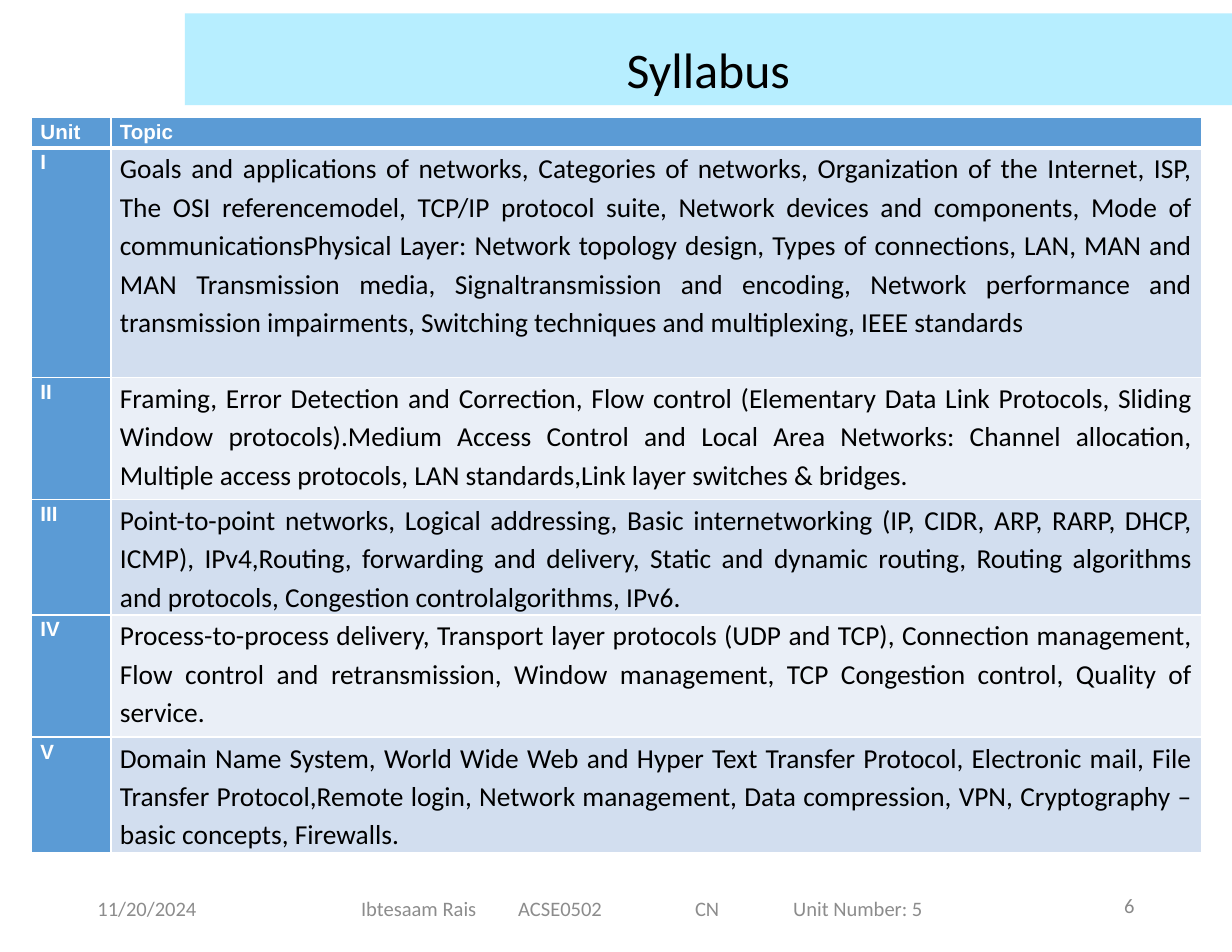
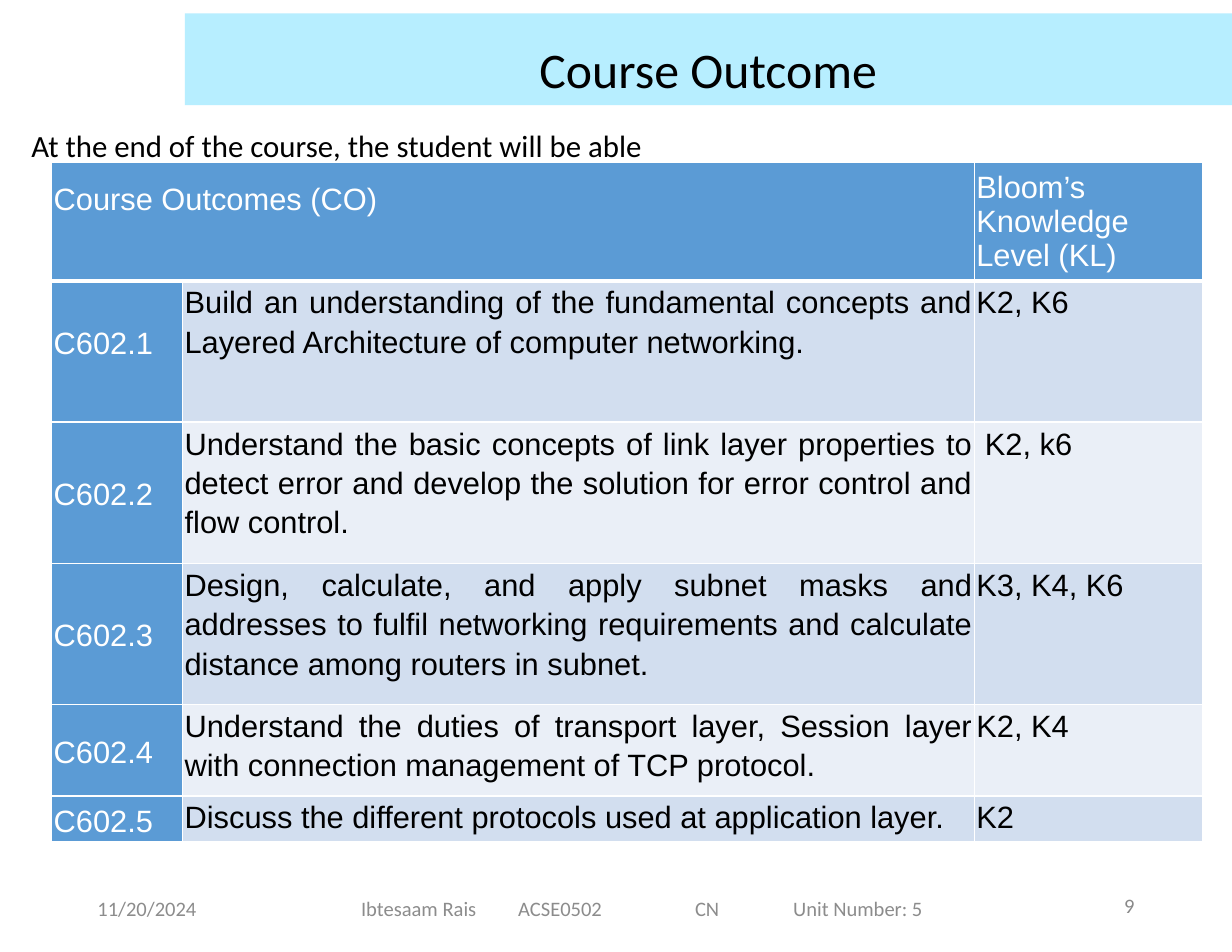
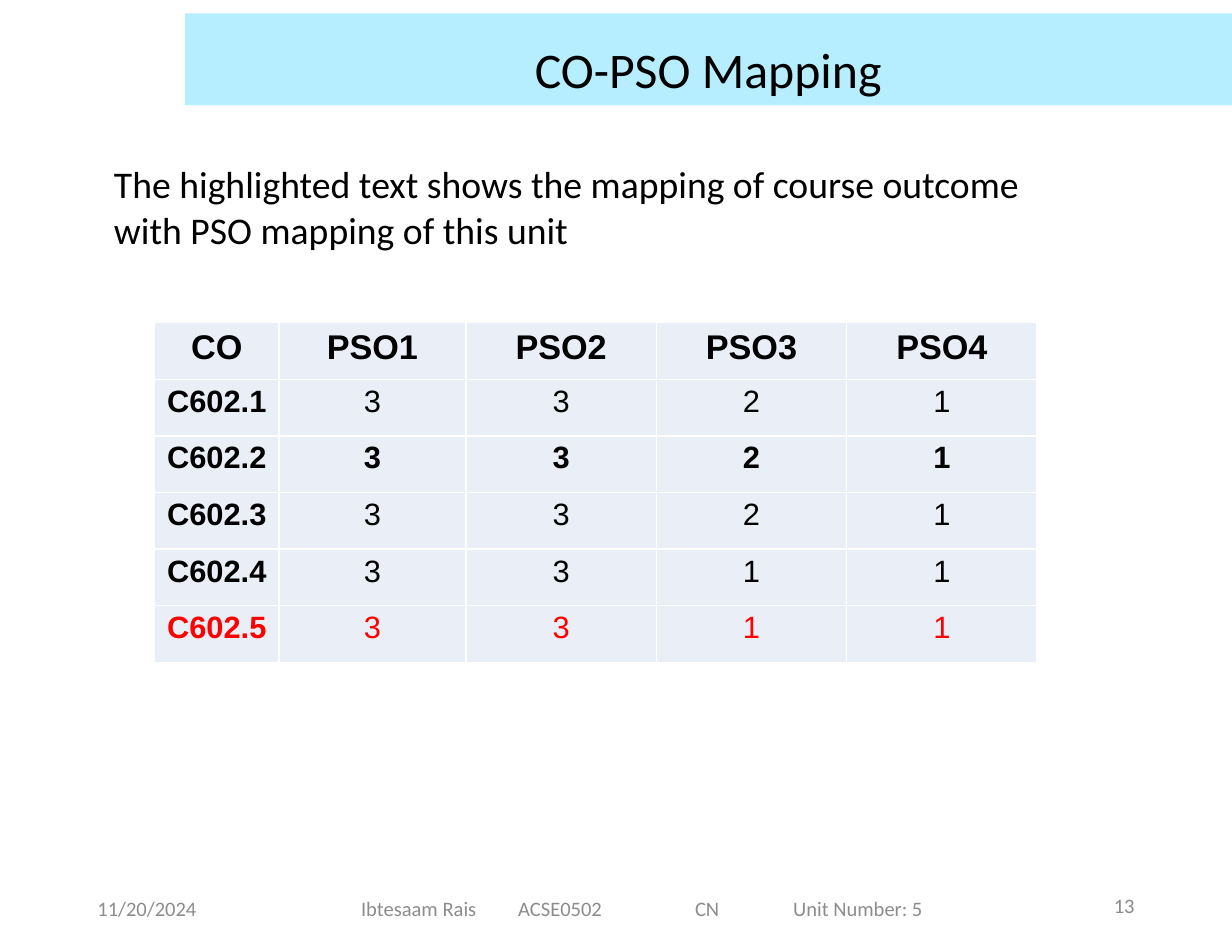
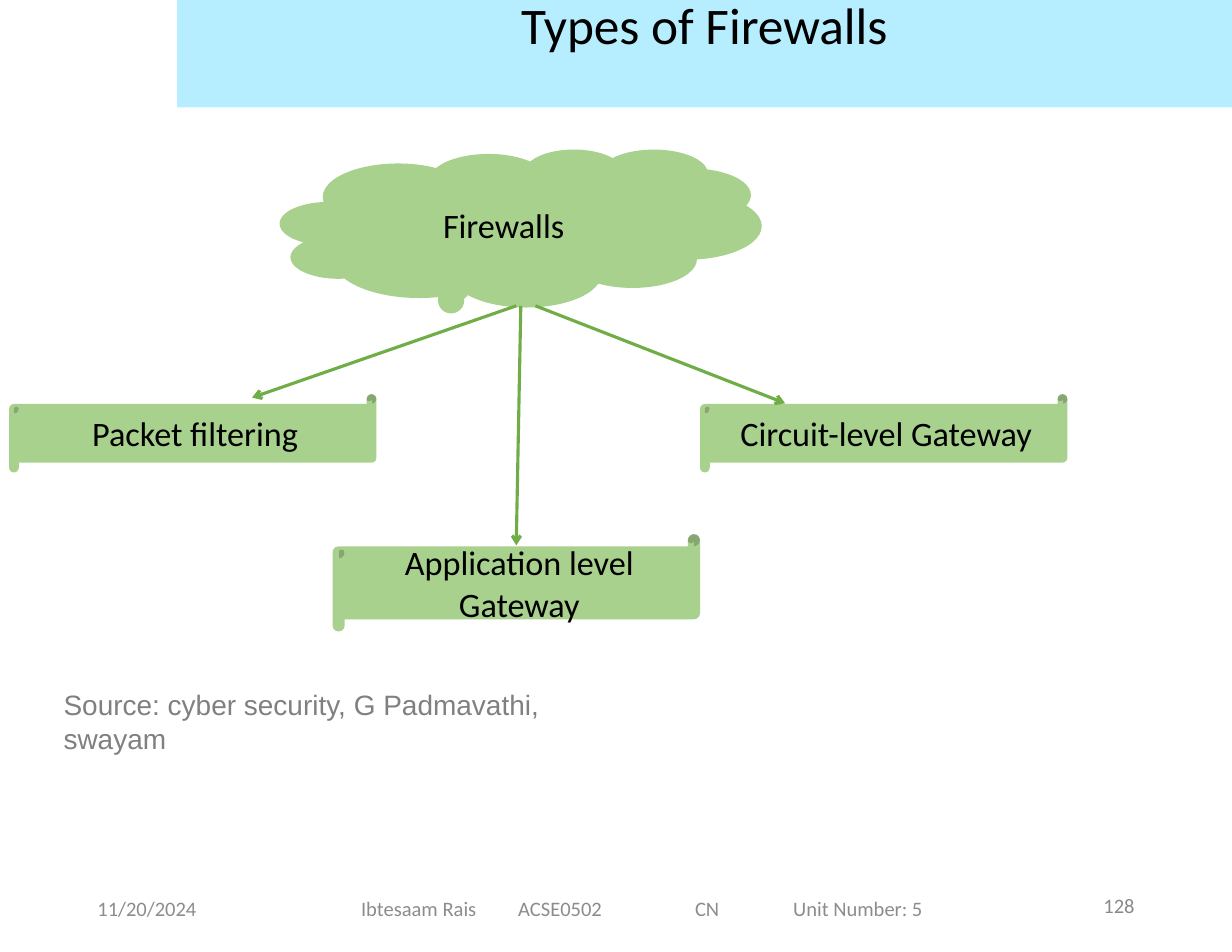
from lxml import etree
from pptx import Presentation
from pptx.dml.color import RGBColor
from pptx.enum.shapes import MSO_CONNECTOR, MSO_SHAPE
from pptx.enum.text import MSO_ANCHOR, MSO_AUTO_SIZE, PP_ALIGN
from pptx.oxml.ns import qn
from pptx.util import Pt

# Shared look
BAND, HEAD, DARK, PALE = "B7EEFF", "5B9BD5", "D2DEEF", "EAEFF7"
LEAF, ARROW = "A9D18E", "70AD47"
WHITE, BLACK, RED, GREY = "FFFFFF", "000000", "FF0000", "8C8C8C"
LEFT, MID, RIGHT, JUST = PP_ALIGN.LEFT, PP_ALIGN.CENTER, PP_ALIGN.RIGHT, PP_ALIGN.JUSTIFY
TOP, CORE, LOW = MSO_ANCHOR.TOP, MSO_ANCHOR.MIDDLE, MSO_ANCHOR.BOTTOM
PAD = (7.2, 3.6, 7.2, 3.6)
NOTE = (7.9, 4.3, 7.9, 4.3)
PLAIN = "{2D5ABB26-0587-4C30-8999-92F81FD0307C}"

# Content
DATE = "11/20/2024"
FOOT = ("Ibtesaam Rais", "ACSE0502", "CN", "Unit Number: 5")
STOPS = (101, 214.7, 277.8)

UNITS = [
    ("I", "Goals and applications of networks, Categories of networks, Organization of the "
          "Internet, ISP, The OSI referencemodel, TCP/IP protocol suite, Network devices and "
          "components, Mode of communicationsPhysical Layer: Network topology design, Types of "
          "connections, LAN, MAN and MAN Transmission media, Signaltransmission and encoding, "
          "Network performance and transmission impairments, Switching techniques and "
          "multiplexing, IEEE standards"),
    ("II", "Framing, Error Detection and Correction, Flow control (Elementary Data Link "
           "Protocols, Sliding Window protocols).Medium Access Control and Local Area Networks: "
           "Channel allocation, Multiple access protocols, LAN standards,Link layer switches & "
           "bridges."),
    ("III", "Point-to-point networks, Logical addressing, Basic internetworking (IP, CIDR, ARP, "
            "RARP, DHCP, ICMP), IPv4,Routing, forwarding and delivery, Static and dynamic "
            "routing, Routing algorithms and protocols, Congestion controlalgorithms, IPv6."),
    ("IV", "Process-to-process delivery, Transport layer protocols (UDP and TCP), Connection "
           "management, Flow control and retransmission, Window management, TCP Congestion "
           "control, Quality of service."),
    ("V", "Domain Name System, World Wide Web and Hyper Text Transfer Protocol, Electronic mail, "
          "File Transfer Protocol,Remote login, Network management, Data compression, VPN, "
          "Cryptography – basic concepts, Firewalls."),
]
GOALS = [
    ("C602.1", "Build an understanding of the fundamental concepts and Layered Architecture of "
               "computer networking.", "K2, K6"),
    ("C602.2", "Understand the basic concepts of link layer properties to detect error and "
               "develop the solution for error control and flow control.", " K2, k6"),
    ("C602.3", "Design, calculate, and apply subnet masks and addresses to fulfil networking "
               "requirements and calculate distance among routers in subnet.", "K3, K4, K6"),
    ("C602.4", "Understand the duties of transport layer, Session layer with connection "
               "management of TCP protocol.", "K2, K4"),
    ("C602.5", "Discuss the different protocols used at application layer.", "K2"),
]
SCORES = [
    ("CO", "PSO1", "PSO2", "PSO3", "PSO4"),
    ("C602.1", "3", "3", "2", "1"),
    ("C602.2", "3", "3", "2", "1"),
    ("C602.3", "3", "3", "2", "1"),
    ("C602.4", "3", "3", "1", "1"),
    ("C602.5", "3", "3", "1", "1"),
]
SCROLLS = [
    ("Packet filtering", (5.8, 253.4, 236.2, 50.4)),
    ("Application level Gateway", (213.8, 343.4, 236.2, 62.6)),
    ("Circuit-level Gateway", (450, 253.4, 236.2, 50.4)),
]
LINKS = [
    ((334.8, 196.6), (331.9, 350.6)),
    ((331.9, 196.6), (162, 255.6)),
    ((344.2, 196.6), (504.7, 259.2)),
]


# Helpers
def paint(fill, code):
    fill.solid()
    fill.fore_color.rgb = RGBColor.from_string(code)


def pad(part, sides):
    part.margin_left, part.margin_top, part.margin_right, part.margin_bottom = map(Pt, sides)


def style(para, size, code=BLACK, face="Calibri", bold=False, align=LEFT, line=None, after=None):
    para.alignment = align
    if line:
        para.line_spacing = line
    if after:
        para.space_after = Pt(after)
    font = para.font
    font.name, font.size, font.bold = face, Pt(size), bold
    font.color.rgb = RGBColor.from_string(code)


def write(frame, text, size, anchor=TOP, sides=PAD, wrap=True, **look):
    frame.word_wrap = wrap
    frame.auto_size = MSO_AUTO_SIZE.NONE
    frame.vertical_anchor = anchor
    pad(frame, sides)
    para = frame.paragraphs[0]
    para.text = text
    style(para, size, **look)
    return para


def label(slide, box, text, size, **look):
    return write(slide.shapes.add_textbox(*map(Pt, box)).text_frame, text, size, **look)


def solid(slide, kind, box, text):
    shape = slide.shapes.add_shape(kind, *map(Pt, box))
    shape.shadow.inherit = False
    paint(shape.fill, LEAF)
    shape.line.fill.background()
    write(shape.text_frame, text, 22, anchor=CORE, align=MID)
    return shape


def arrow(slide, start, end):
    link = slide.shapes.add_connector(MSO_CONNECTOR.STRAIGHT, *map(Pt, start + end))
    link.line.width = Pt(2)
    link.line.color.rgb = RGBColor.from_string(ARROW)
    etree.SubElement(link.line._get_or_add_ln(), qn("a:tailEnd"), type="arrow")
    etree.SubElement(link._element.spPr, qn("a:effectLst"))


def edge(cell, widths):
    props = cell._tc.get_or_add_tcPr()
    for side, width in zip("LRTB", widths):
        line = etree.SubElement(props, qn("a:ln" + side), w=str(Pt(width)))
        tint = etree.SubElement(line, qn("a:solidFill"))
        etree.SubElement(tint, qn("a:srgbClr"), val=WHITE)


def grid(slide, spot, cols, rows, ruled=True):
    size = sum(cols), sum(rows)
    table = slide.shapes.add_table(len(rows), len(cols), *map(Pt, spot + size)).table
    table._tbl.tblPr.find(qn("a:tableStyleId")).text = PLAIN
    table.first_row = table.horz_banding = False
    for col, width in zip(table.columns, cols):
        col.width = Pt(width)
    for r, height in enumerate(rows):
        table.rows[r].height = Pt(height)
        for cell in table.rows[r].cells:
            edge(cell, (1, 1, 3 if ruled and r == 1 else 1, 3 if ruled and r == 0 else 1))
    return table


def put(cell, text, size, fill, sides, anchor=TOP, **look):
    paint(cell.fill, fill)
    cell.vertical_anchor = anchor
    pad(cell, sides)
    para = cell.text_frame.paragraphs[0]
    para.text = text
    style(para, size, **look)


def start(deck, title, number, box=(118.8, 8.6, 673.2, 59), size=32, anchor=LOW, sides=PAD):
    slide = deck.slides.add_slide(deck.slide_layouts[5])
    head = slide.shapes.title
    head.left, head.top, head.width, head.height = map(Pt, box)
    paint(head.fill, BAND)
    write(head.text_frame, title, size, anchor=anchor, sides=sides, align=MID, line=0.9)
    # Footer: date, course line on tab stops, page number
    label(slide, (54.7, 567.4, 89.3, 32.4), DATE, 13.2, anchor=CORE, sides=NOTE, code=GREY)
    label(slide, (688.3, 565.9, 49, 32.4), str(number), 13.2, anchor=CORE, sides=NOTE,
          code="898989", align=RIGHT)
    frame = slide.shapes.add_textbox(*map(Pt, (194.4, 568.1, 435.6, 31.7))).text_frame
    tabs = etree.SubElement(frame.paragraphs[0]._p.get_or_add_pPr(), qn("a:tabLst"))
    for stop in STOPS:
        etree.SubElement(tabs, qn("a:tab"), pos=str(Pt(stop)), algn="l")
    write(frame, "\t".join(FOOT), 13.2, anchor=CORE, sides=(37.7, 4.3, 7.9, 4.3), code=GREY)
    return slide


# Slides
def topics(deck):
    slide = start(deck, "Syllabus", 6)
    table = grid(slide, (20.2, 75.6), (51.1, 701.3), (19.4, 147.6, 78.5, 74.2, 78.5, 74.2))
    sides = (5.8, 0, 5.8, 0)
    mark = dict(face="Arial", code=WHITE, bold=True, line=1.15)
    for c, text in enumerate(("Unit", "Topic")):
        put(table.cell(0, c), text, 13.2, HEAD, sides, **mark)
    for r, (unit, topic) in enumerate(UNITS, 1):
        put(table.cell(r, 0), unit, 13.2, HEAD, sides, align=JUST, **mark)
        put(table.cell(r, 1), topic, 17.6, DARK if r % 2 else PALE, sides, align=JUST, line=1.15)


def results(deck):
    slide = start(deck, "Course Outcome", 9)
    label(slide, (13, 77.8, 406.8, 31), "At the end of the course, the student will be able",
          19.8, wrap=False)
    table = grid(slide, (33.1, 104.4), (84.2, 509, 146.9), (76.3, 90.7, 90.7, 90.7, 59, 29.5))
    sides = (1.4, 0, 1.4, 0)
    mark = dict(face="Arial", code=WHITE)
    table.cell(0, 0).merge(table.cell(0, 1))
    put(table.cell(0, 0), "Course Outcomes (CO)", 19.8, HEAD, (1.4, 22.7, 1.4, 0),
        line=Pt(12.7), after=10, **mark)
    put(table.cell(0, 2), "Bloom’s Knowledge Level (KL)", 19.8, HEAD, sides, anchor=CORE, **mark)
    for r, (code, goal, level) in enumerate(GOALS, 1):
        put(table.cell(r, 0), code, 19.8, HEAD, sides, anchor=CORE,
            line=Pt(12.7) if r == 1 else 1.15, after=10, **mark)
        for c, text in enumerate((goal, level), 1):
            put(table.cell(r, c), text, 19.8, DARK if r % 2 else PALE, sides,
                face="Arial", align=JUST, line=1.15, after=10)


def mapping(deck):
    slide = start(deck, "CO-PSO Mapping", 13)
    label(slide, (66.2, 100.1, 640.1, 65.5), "The highlighted text shows the mapping of course "
          "outcome with PSO mapping of this unit", 24.2)
    table = grid(slide, (99.4, 207.4), (79.9, 120.2) + (122.4,) * 3, (36.4,) * len(SCORES),
                 ruled=False)
    for r, row in enumerate(SCORES):
        for c, text in enumerate(row):
            put(table.cell(r, c), text, 19.8 if r else 22, PALE, (5.8, 0, 5.8, 0), face="Arial",
                code=RED if r == 5 else BLACK, bold=c == 0 or r in (0, 2),
                align=MID, line=1.15, after=10)


def walls(deck):
    slide = start(deck, "Types of Firewalls", 128, (113.8, 0, 678.2, 69.1), 33, TOP,
                  (7.2, 0, 7.2, 0))
    cloud = solid(slide, MSO_SHAPE.CLOUD_CALLOUT, (180, 95.8, 309.6, 101.5), "Firewalls")
    cloud.adjustments[0], cloud.adjustments[1] = -0.12, 0.38
    for text, box in SCROLLS:
        solid(slide, MSO_SHAPE.HORIZONTAL_SCROLL, box, text)
    for begin, end in LINKS:
        arrow(slide, begin, end)
    label(slide, (33.8, 438.5, 355, 28.8), "Source: cyber security, G Padmavathi, swayam", 18,
          face="Arial", code="808080")


def main():
    deck = Presentation()
    deck.slide_width, deck.slide_height = Pt(792), Pt(612)
    for build in (topics, results, mapping, walls):
        build(deck)
    deck.save("out.pptx")


if __name__ == "__main__":
    main()
